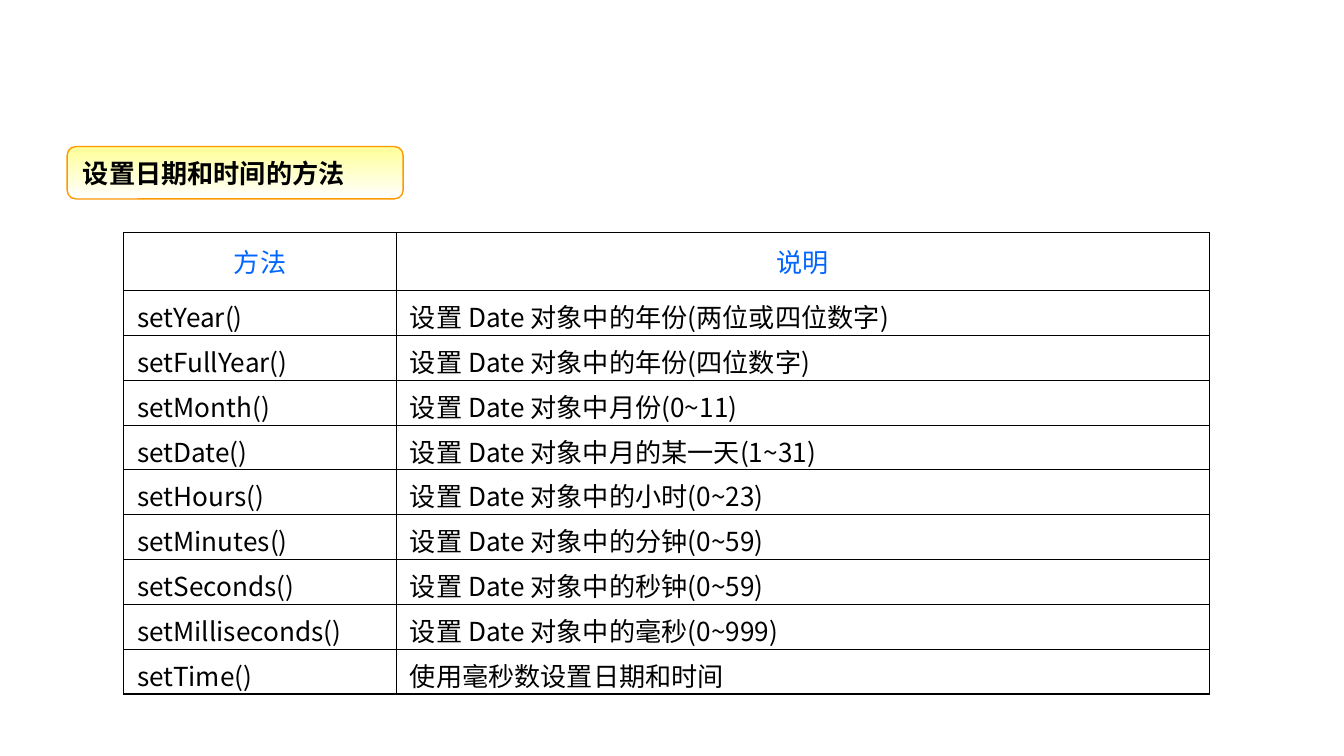
from lxml import etree
from pptx import Presentation
from pptx.dml.color import RGBColor
from pptx.enum.shapes import MSO_SHAPE as Shape
from pptx.enum.text import MSO_ANCHOR as Anchor, PP_ALIGN as Align
from pptx.oxml.ns import qn
from pptx.util import Inches, Pt

FONT = "Noto Sans CJK JP"
BLACK = RGBColor(0x00, 0x00, 0x00)
WHITE = RGBColor(0xFF, 0xFF, 0xFF)
BLUE = RGBColor(0x00, 0x66, 0xFF)
YELLOW = RGBColor(0xFF, 0xFF, 0x99)
ORANGE = RGBColor(0xFF, 0x99, 0x00)

HEADING = "设置日期和时间的方法"
METHODS = [
    ("方法", "说明"),
    ("setYear()", "设置 Date 对象中的年份(两位或四位数字)"),
    ("setFullYear()", "设置 Date 对象中的年份(四位数字)"),
    ("setMonth()", "设置 Date 对象中月份(0~11)"),
    ("setDate()", "设置 Date 对象中月的某一天(1~31)"),
    ("setHours()", "设置 Date 对象中的小时(0~23)"),
    ("setMinutes()", "设置 Date 对象中的分钟(0~59)"),
    ("setSeconds()", "设置 Date 对象中的秒钟(0~59)"),
    ("setMilliseconds()", "设置 Date 对象中的毫秒(0~999)"),
    ("setTime()", "使用毫秒数设置日期和时间"),
]
COLUMN_WIDTHS = [2.03, 6.05]
TABLE_HEIGHT = 3.43
HEADER_HEIGHT = 0.43
OUTER_LINE = Pt(0.75)
INNER_LINE = Pt(0.45)


def write_text(text_frame, text, color=BLACK, bold=False, align=Align.LEFT):
    text_frame.text = text
    paragraph = text_frame.paragraphs[0]
    paragraph.alignment = align
    font = paragraph.runs[0].font
    font.size = Pt(14)
    font.bold = bold
    font.name = FONT
    font.color.rgb = color
    properties = paragraph.runs[0]._r.get_or_add_rPr()
    etree.SubElement(properties, qn("a:ea")).set("typeface", FONT)


def set_borders(cell, left, right, top, bottom):
    properties = cell._tc.get_or_add_tcPr()
    widths = {"a:lnL": left, "a:lnR": right, "a:lnT": top, "a:lnB": bottom}
    for position, (tag, width) in enumerate(widths.items()):
        line = etree.Element(qn(tag), w=str(int(width)))
        fill = etree.SubElement(line, qn("a:solidFill"))
        etree.SubElement(fill, qn("a:srgbClr")).set("val", str(BLACK))
        properties.insert(position, line)


def add_heading(slide):
    shape = slide.shapes.add_shape(
        Shape.ROUNDED_RECTANGLE, Inches(0.5), Inches(1.09), Inches(2.5), Inches(0.39))
    shape.shadow.inherit = False
    shape.fill.gradient()
    shape.fill.gradient_angle = 270
    for stop, color in zip(shape.fill.gradient_stops, (YELLOW, WHITE)):
        stop.color.rgb = color
    shape.line.color.rgb = ORANGE
    shape.line.width = Pt(0.75)
    shape.text_frame.word_wrap = False
    shape.text_frame.vertical_anchor = Anchor.MIDDLE
    write_text(shape.text_frame, HEADING, bold=True)


def add_method_table(slide):
    last_row, last_column = len(METHODS) - 1, len(COLUMN_WIDTHS) - 1
    table = slide.shapes.add_table(
        len(METHODS), len(COLUMN_WIDTHS), Inches(0.92), Inches(1.73),
        Inches(sum(COLUMN_WIDTHS)), Inches(TABLE_HEIGHT)).table
    table.first_row = False
    table.horz_banding = False
    for column, width in zip(table.columns, COLUMN_WIDTHS):
        column.width = Inches(width)
    body_height = (TABLE_HEIGHT - HEADER_HEIGHT) / last_row
    for row_index, texts in enumerate(METHODS):
        is_header = row_index == 0
        table.rows[row_index].height = Inches(HEADER_HEIGHT if is_header else body_height)
        for column_index, text in enumerate(texts):
            cell = table.cell(row_index, column_index)
            cell.fill.background()
            cell.vertical_anchor = Anchor.MIDDLE if is_header else Anchor.TOP
            if not is_header:
                cell.margin_bottom = 0
            write_text(cell.text_frame, text, BLUE if is_header else BLACK,
                       align=Align.CENTER if is_header else Align.LEFT)
            edges = (column_index == 0, column_index == last_column,
                     is_header, row_index == last_row)
            set_borders(cell, *(OUTER_LINE if edge else INNER_LINE for edge in edges))


def main():
    presentation = Presentation()
    presentation.slide_width = Inches(10)
    presentation.slide_height = Inches(10 * 9 / 16)
    slide = presentation.slides.add_slide(presentation.slide_layouts[6])
    add_method_table(slide)
    add_heading(slide)
    presentation.save("out.pptx")


if __name__ == "__main__":
    main()
